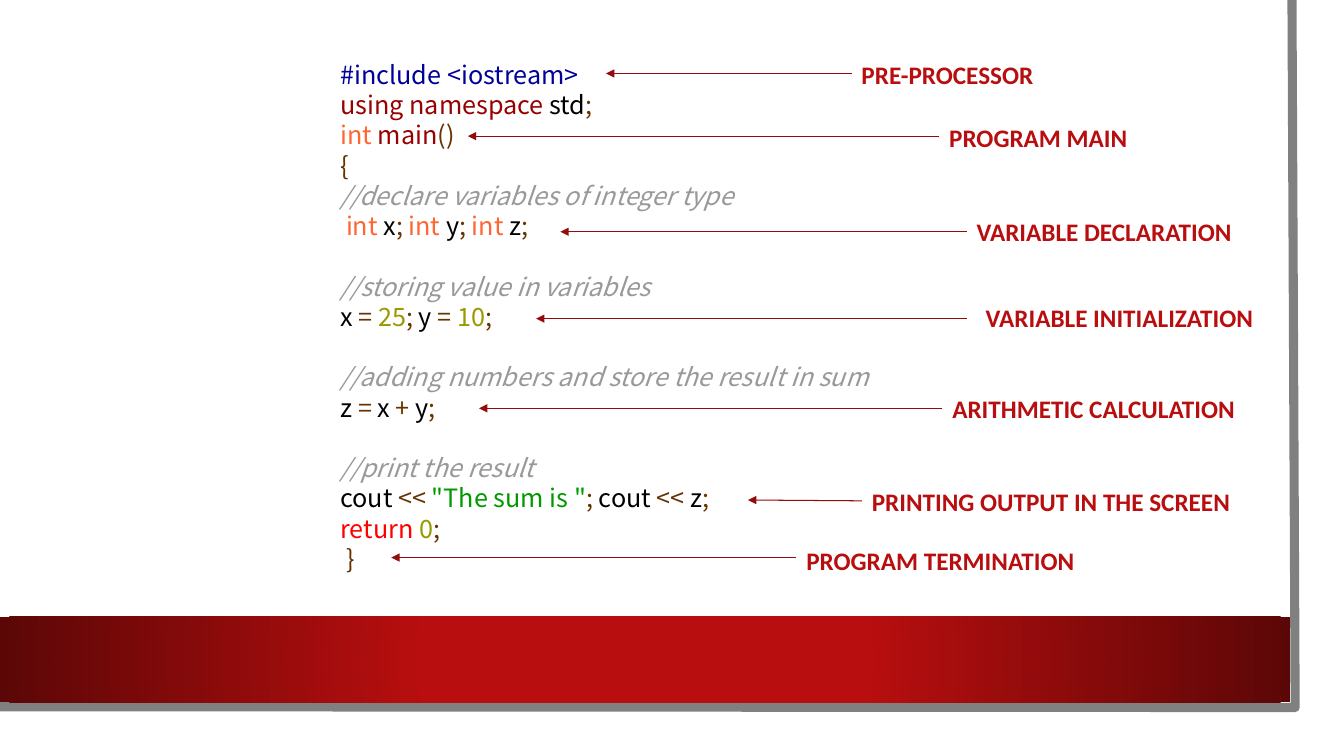
from lxml.etree import SubElement as Sub
from pptx import Presentation as Deck
from pptx.dml.color import RGBColor as Color
from pptx.enum.shapes import MSO_CONNECTOR as Line, MSO_SHAPE as Shape
from pptx.enum.text import MSO_AUTO_SIZE as Auto
from pptx.oxml.ns import qn
from pptx.util import Cm, Pt


def tint(code):
    return Color.from_string(code)


def write(para, text, font, code):
    run = para.add_run()
    run.text = text
    run.font.size = Pt(18)
    run.font.name = font
    run.font.color.rgb = tint(code)
    return run


deck = Deck()
deck.slide_width, deck.slide_height = Cm(33.87), Cm(19.05)
slide = deck.slides.add_slide(deck.slide_layouts[6])
shapes = slide.shapes

page = shapes.add_shape(Shape.RECTANGLE, 0, 0, Cm(33.27), Cm(18.47))
page.shadow.inherit = False
page.fill.solid()
page.fill.fore_color.rgb = tint("FFFFFF")
page.line.fill.background()

path = shapes.build_freeform(Cm(32.56), 0)
path.add_line_segments([(Cm(32.64), Cm(17.83)), (Cm(-0.08), Cm(17.81))], close=False)
edge = path.convert_to_shape()
edge.shadow.inherit = False
edge.fill.background()
edge.line.color.rgb = tint("808080")
edge.line.width = Pt(6.5)

band = shapes.add_shape(Shape.RECTANGLE, 0, Cm(15.54), Cm(32.51), Cm(2.16))
band.shadow.inherit = False
band.line.fill.background()
band.fill.gradient()
for stop, (spot, code) in zip(band.fill.gradient_stops, [(0.34, "B80E0F"), (1, "5C0707")]):
    stop.position = spot
    stop.color.rgb = tint(code)
grad = band.fill._xPr.find(qn("a:gradFill"))
grad.remove(grad.find(qn("a:lin")))
glow = Sub(grad, qn("a:path"), path="circle")
Sub(glow, qn("a:fillToRect"), l="50000", t="50000", r="50000", b="50000")

hues = {
    "head": "000099", "word": "990000", "type": "FF6633", "name": "000000",
    "sign": "663300", "note": "999999", "num": "999900", "text": "009900",
    "exit": "FF0000",
}
end = ("sign", ";")
code = [
    [("head", "#include <iostream>")],
    [("word", "using namespace"), ("name", " std"), end],
    [("type", "int"), ("word", " main"), ("sign", "()")],
    [("sign", "{")],
    [("note", "//declare variables of integer type")],
    [("type", " int"), ("name", " x"), end, ("type", " int"), ("name", " y"), end,
     ("type", " int"), ("name", " z"), end],
    [("note", "//storing value in variables")],
    [("name", "x"), ("sign", " ="), ("num", " 25"), end,
     ("name", " y"), ("sign", " ="), ("num", " 10"), end],
    [("note", "//adding numbers and store the result in sum")],
    [("name", "z"), ("sign", " ="), ("name", " x"), ("sign", " +"), ("name", " y"), end],
    [("note", "//print the result")],
    [("name", "cout"), ("sign", " << "), ("text", '"The sum is "'), end,
     ("name", " cout"), ("sign", " << "), ("name", "z"), end],
    [("exit", "return"), ("num", " 0"), end],
    [("sign", " }")],
]
pitch = Pt(21.6)
frame = shapes.add_textbox(Cm(8.33), Cm(1.37), Cm(16.94), Cm(14.1)).text_frame
frame.word_wrap = True
for row, parts in enumerate(code):
    para = frame.add_paragraph() if row else frame.paragraphs[0]
    para.line_spacing = pitch
    if row > 4 and parts[0][0] == "note":
        para.space_before = pitch
    for kind, text in parts:
        run = write(para, text, "Noto Sans CJK KR", hues[kind])
        run.font.italic = kind == "note"

tags = [
    ("PRE-PROCESSOR", 21.46, 1.37, 7.62, (21.46, 1.85), (15.27, 1.85)),
    ("PROGRAM MAIN", 23.67, 2.97, 5.41, (23.67, 3.43), (11.79, 3.43)),
    ("VARIABLE DECLARATION", 24.36, 5.33, 8.66, (24.36, 5.84), (14.12, 5.84)),
    ("VARIABLE INITIALIZATION", 24.59, 7.49, 7.75, (24.36, 8.03), (13.51, 8.03)),
    ("ARITHMETIC CALCULATION", 23.75, 9.78, 7.65, (23.75, 10.29), (12.07, 10.29)),
    ("PRINTING OUTPUT IN THE SCREEN", 21.72, 12.12, 10.19, (21.72, 12.62), (18.85, 12.6)),
    ("PROGRAM TERMINATION", 20.07, 13.61, 10.41, (20.07, 14.05), (9.86, 14.05)),
]
for text, left, top, width, start, tip in tags:
    frame = shapes.add_textbox(Cm(left), Cm(top), Cm(width), Cm(1.02)).text_frame
    frame.word_wrap = True
    frame.auto_size = Auto.SHAPE_TO_FIT_TEXT
    run = write(frame.paragraphs[0], text, "Calibri", "B80E0F")
    run.font.bold = True

    arrow = shapes.add_connector(Line.STRAIGHT, *map(Cm, start + tip))
    arrow.line.color.rgb = tint("930B0C")
    arrow.line.width = Pt(0.75)
    Sub(arrow.line._get_or_add_ln(), qn("a:tailEnd"), type="triangle")
    Sub(arrow._element.spPr, qn("a:effectLst"))

deck.save("out.pptx")
